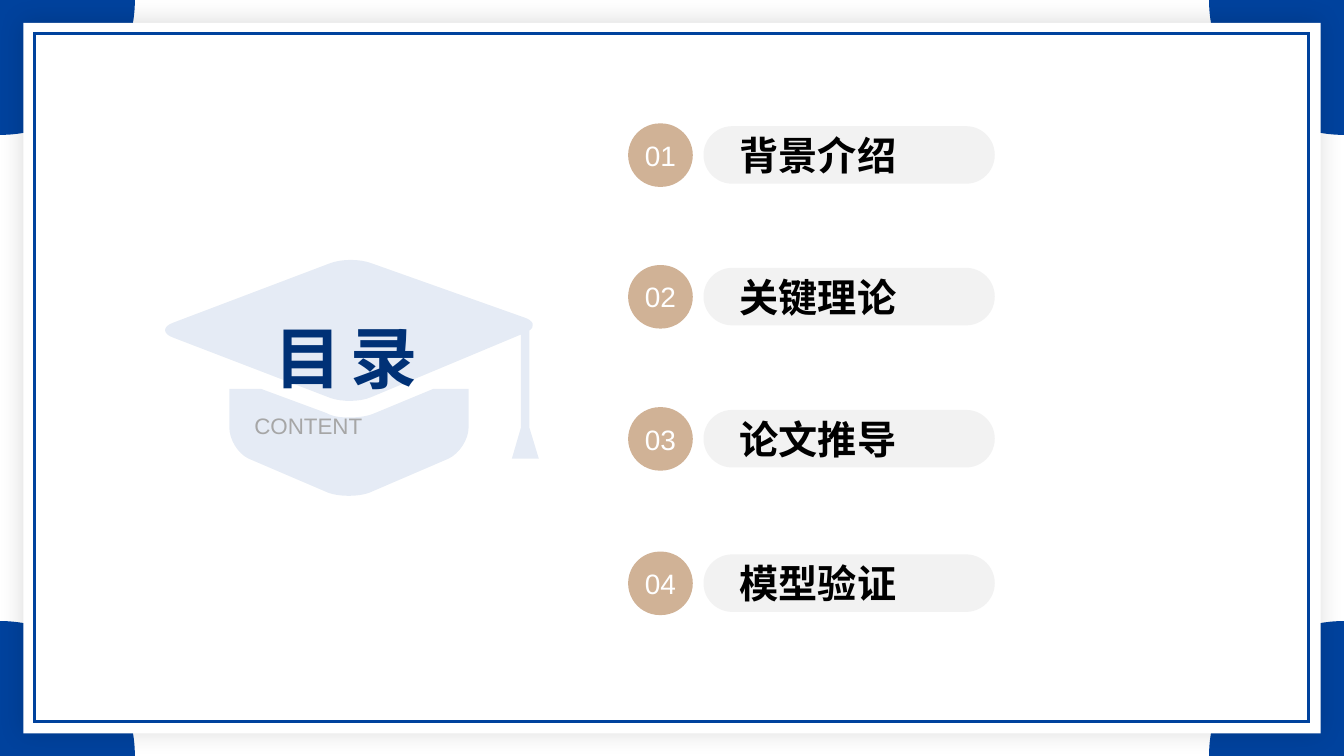
from dataclasses import dataclass

import lxml.etree
import pptx
import pptx.dml.color
import pptx.enum.shapes
import pptx.enum.text
import pptx.oxml.ns
import pptx.util

Cm = pptx.util.Cm
Pt = pptx.util.Pt
Shape = pptx.enum.shapes.MSO_SHAPE
Align = pptx.enum.text.PP_ALIGN
Anchor = pptx.enum.text.MSO_ANCHOR
AutoSize = pptx.enum.text.MSO_AUTO_SIZE
qn = pptx.oxml.ns.qn


@dataclass(frozen=True)
class Theme:
    font: str = "Arial"
    blue: str = "00429D"
    navy: str = "003176"
    tan: str = "D0B296"
    pale: str = "F2F2F2"
    grey: str = "A6A6A6"
    white: str = "FFFFFF"
    black: str = "000000"
    title_size: int = 48
    topic_size: int = 28
    number_size: int = 20
    subtitle_size: int = 16


theme = Theme()


def paint(shape, color):
    shape.shadow.inherit = False
    shape.fill.solid()
    shape.fill.fore_color.rgb = pptx.dml.color.RGBColor.from_string(color)
    shape.line.fill.background()


def add_outline(contours, color):
    """Draw contours whose steps are one point (line) or three points (Bezier curve)."""
    builder = None
    for contour in contours:
        points = [(Cm(x), Cm(y)) for step in contour for x, y in step]
        if builder is None:
            builder = shapes.build_freeform(*points[0])
        else:
            builder.move_to(*points[0])
        builder.add_line_segments(points[1:])
    outline = builder.convert_to_shape()
    # Join the three points of each curve into one Bezier segment
    path_nodes = outline._element.iter(qn("a:moveTo"), qn("a:lnTo"))
    nodes = iter(list(path_nodes))
    for step in (step for contour in contours for step in contour):
        segment = [next(nodes) for _ in step]
        if len(segment) == 3:
            curve = lxml.etree.Element(qn("a:cubicBezTo"))
            segment[0].addprevious(curve)
            for node in segment:
                curve.append(node[0])
                node.getparent().remove(node)
    paint(outline, color)
    return outline


deck = pptx.Presentation()
deck.slide_width, deck.slide_height = Cm(33.87), Cm(19.05)
slide = deck.slides.add_slide(deck.slide_layouts[6])
shapes = slide.shapes

# Quarter discs in the four corners
radius, handle = 3.4, 1.88
for y, down in ((0, 1), (19.05, -1)):
    for x, across in ((0, 1), (33.87, -1)):
        side, end = x + across * radius, y + down * radius
        arc = [(side, y + down * handle), (x + across * handle, end), (x, end)]
        add_outline([[[(x, y)], [(side, y)], arc]], theme.blue)

# White panel with a soft shadow
panel = shapes.add_shape(Shape.RECTANGLE, Cm(0.59), Cm(0.58), Cm(32.69), Cm(17.9))
paint(panel, theme.white)
effects = panel.fill._xPr.find(qn("a:effectLst"))
glow = lxml.etree.SubElement(effects, qn("a:outerShdw"), blurRad=str(Pt(18)), dist="0",
                             dir="0", algn="ctr", rotWithShape="0")
glow_color = lxml.etree.SubElement(glow, qn("a:srgbClr"), val=theme.black)
lxml.etree.SubElement(glow_color, qn("a:alpha"), val="15000")

# Blue border inside the panel
border = shapes.add_shape(Shape.ROUNDED_RECTANGLE, Cm(0.87), Cm(0.84), Cm(32.11), Cm(17.35))
border.adjustments[0] = 0
border.shadow.inherit = False
border.fill.background()
border.line.color.rgb = pptx.dml.color.RGBColor.from_string(theme.blue)
border.line.width = Pt(2)
lxml.etree.SubElement(border.line._ln, qn("a:miter"), lim="800000")

# Graduation cap
cap_base = [
    [(5.78, 9.8)], [(6.58, 9.8)], [(8.23, 10.41)],
    [(8.43, 10.52), (8.66, 10.52), (8.81, 10.52)],
    [(9.04, 10.52), (9.27, 10.49), (9.45, 10.41)],
    [(10.92, 9.8)], [(11.81, 9.8)], [(11.81, 10.77)],
    [(11.81, 11.07), (11.58, 11.43), (11.3, 11.56)],
    [(9.3, 12.42)], [(9.02, 12.52), (8.56, 12.52), (8.28, 12.42)],
    [(6.27, 11.56)], [(5.99, 11.43), (5.78, 11.07), (5.78, 10.77)],
]
cap_board = [
    [(8.84, 6.55)], [(9.02, 6.55), (9.22, 6.58), (9.35, 6.63)],
    [(13.21, 8)], [(13.46, 8.08), (13.49, 8.23), (13.34, 8.33)],
    [(13.34, 10.77)], [(13.58, 11.56)], [(12.9, 11.56)], [(13.13, 10.77)], [(13.13, 8.43)],
    [(9.35, 10.01)], [(9.07, 10.13), (8.61, 10.13), (8.33, 10.03)],
    [(4.37, 8.51)], [(4.09, 8.41), (4.09, 8.23), (4.37, 8.13)],
    [(8.33, 6.63)], [(8.46, 6.58), (8.66, 6.55), (8.84, 6.55)],
]
cap = add_outline([cap_base, cap_board], theme.blue)
cap_color = cap.fill._xPr.find(qn("a:solidFill"))[0]
lxml.etree.SubElement(cap_color, qn("a:alpha"), val="10000")

# Heading on the cap
heading = shapes.add_textbox(Cm(6.93), Cm(7.98), Cm(3.89), Cm(2.06))
subtitle = shapes.add_textbox(Cm(6.41), Cm(10.39), Cm(4.9), Cm(0.69))
flush = (0, 0, 0, 0)
grow = {"auto_size": AutoSize.SHAPE_TO_FIT_TEXT}
wordings = [
    (heading, "目录", theme.title_size, theme.navy, True, Align.JUSTIFY, flush, grow),
    (subtitle, "CONTENT", theme.subtitle_size, theme.grey, False, Align.JUSTIFY, flush, grow),
]

# Numbered topics
middle = {"vertical_anchor": Anchor.MIDDLE}
topics = {"背景介绍": 3.11, "关键理论": 6.68, "论文推导": 10.26, "模型验证": 13.9}
for number, (topic, top) in enumerate(topics.items(), start=1):
    pill = shapes.add_shape(Shape.ROUNDED_RECTANGLE, Cm(17.73), Cm(top + 0.07), Cm(7.34), Cm(1.45))
    badge = shapes.add_shape(Shape.ROUNDED_RECTANGLE, Cm(15.83), Cm(top), Cm(1.63), Cm(1.6))
    for rounded, color in ((pill, theme.pale), (badge, theme.tan)):
        rounded.adjustments[0] = 0.5
        paint(rounded, color)
    wordings += [
        (pill, topic, theme.topic_size, theme.black, True, Align.LEFT,
         (0.7, 0.13, 0.25, 0.13), middle),
        (badge, f"{number:02}", theme.number_size, theme.white, False, Align.CENTER,
         flush, middle),
    ]

# Wording of all parts
for part, text, size, color, bold, align, margins, frame_format in wordings:
    frame = part.text_frame
    sides = ("margin_left", "margin_top", "margin_right", "margin_bottom")
    insets = dict(zip(sides, map(Cm, margins)))
    for name, value in {"word_wrap": True, **insets, **frame_format}.items():
        setattr(frame, name, value)
    paragraph = frame.paragraphs[0]
    paragraph.alignment = align
    run = paragraph.add_run()
    run.text = text
    for name, value in {"name": theme.font, "size": Pt(size), "bold": bold}.items():
        setattr(run.font, name, value)
    run.font.color.rgb = pptx.dml.color.RGBColor.from_string(color)
heading.text_frame.paragraphs[0].runs[0].font._element.set("spc", "600")

deck.save("out.pptx")
